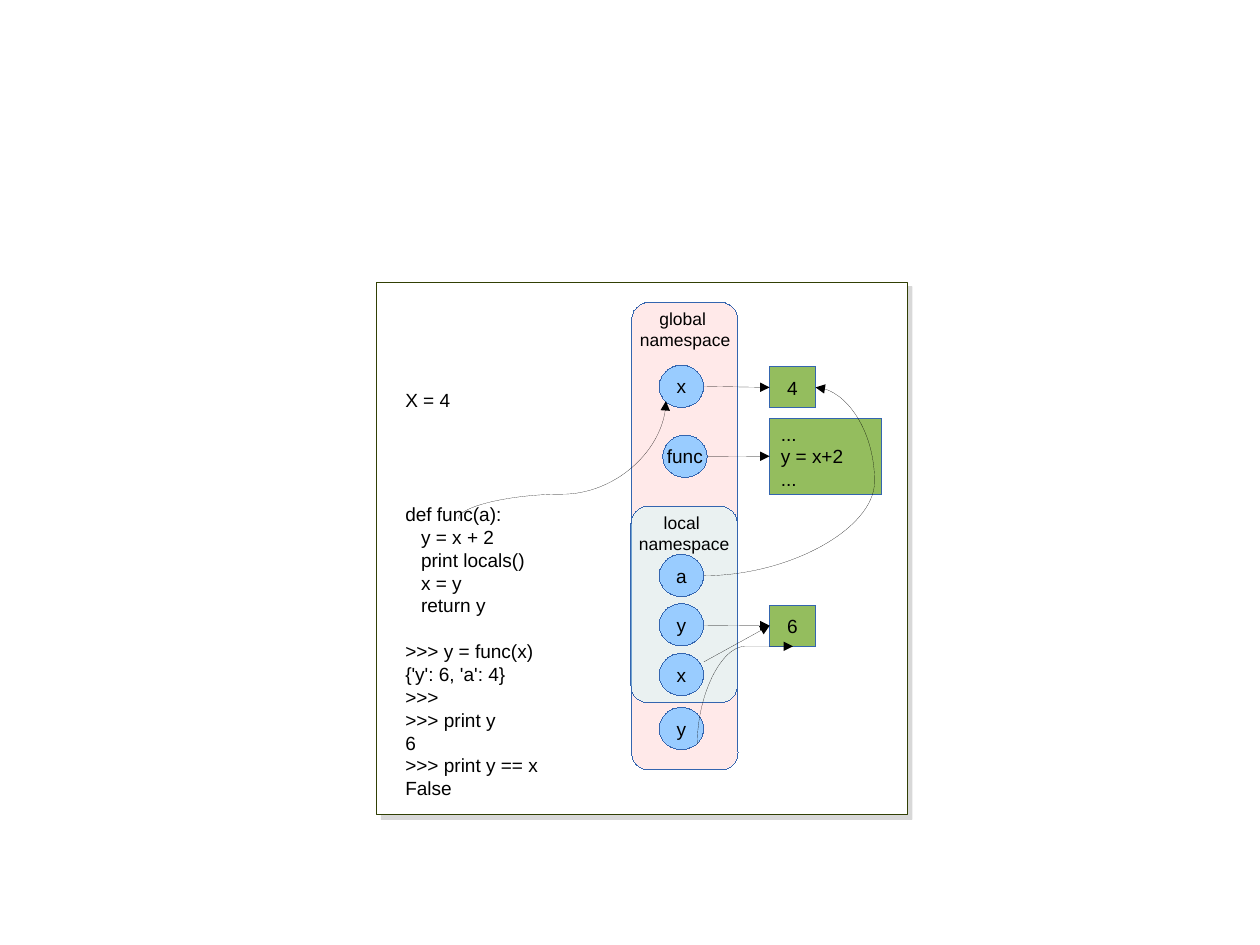
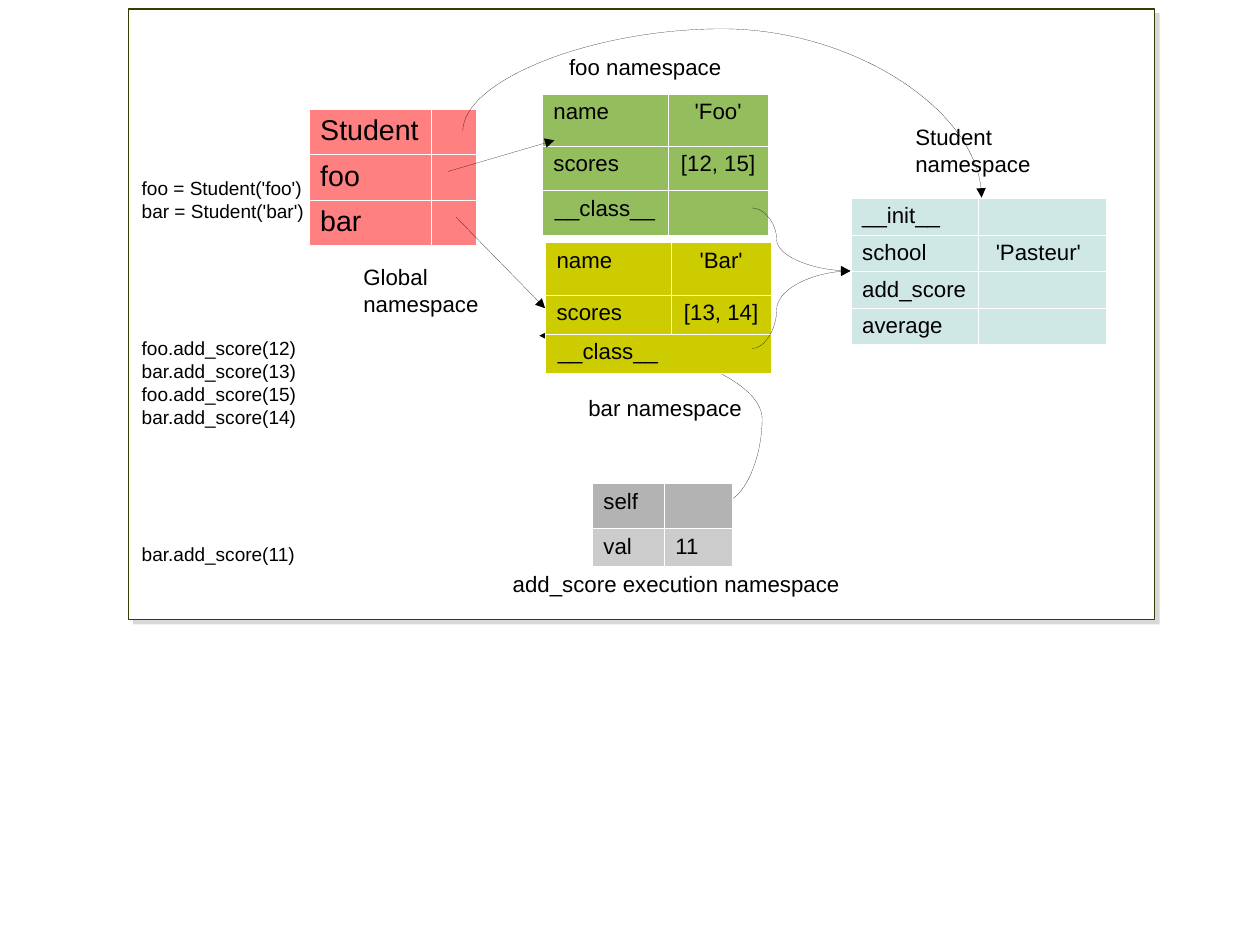
from lxml import etree
from pptx import Presentation
from pptx.dml.color import RGBColor
from pptx.enum.shapes import MSO_CONNECTOR, MSO_SHAPE
from pptx.enum.text import MSO_ANCHOR, PP_ALIGN
from pptx.oxml.ns import qn
from pptx.util import Pt

LEFT, CENTER = PP_ALIGN.LEFT, PP_ALIGN.CENTER
MIDDLE = MSO_ANCHOR.MIDDLE
RECT, OVAL, ROUNDED = MSO_SHAPE.RECTANGLE, MSO_SHAPE.OVAL, MSO_SHAPE.ROUNDED_RECTANGLE
STRAIGHT, CURVE = MSO_CONNECTOR.STRAIGHT, MSO_CONNECTOR.CURVE
LEFT_SIDE = 1


class Theme:
    font = "Arial"
    black = RGBColor.from_string("000000")
    white = RGBColor.from_string("FFFFFF")
    frame = RGBColor.from_string("314004")
    outline = RGBColor.from_string("3465AF")
    name = RGBColor.from_string("99CCFF")
    green = RGBColor.from_string("94BD5E")
    olive = RGBColor.from_string("CCCC00")
    red = RGBColor.from_string("FF8080")
    teal = RGBColor.from_string("CFE7E5")
    dark_gray = RGBColor.from_string("B3B3B3")
    light_gray = RGBColor.from_string("CCCCCC")
    global_space = RGBColor.from_string("FFC8C8")
    local_space = RGBColor.from_string("CCFFFF")
    small, code, label, large = 11, 12, 14, 18
    code_line = 14.4
    hairline = 0.01


def write(tf, lines, size, align=LEFT, gaps=()):
    """Fill a text frame; gaps maps a line index to the lines left free above."""
    for i, line in enumerate(lines):
        p = tf.paragraphs[0] if i == 0 else tf.add_paragraph()
        p.text = line
        p.alignment = align
        if i in gaps:
            p.space_before = Pt(gaps[i] * Theme.code_line)
        p.font.name = Theme.font
        p.font.size = Pt(size)
        p.font.color.rgb = Theme.black


def arrow(s, x1, y1, x2, y2, bend=None, vertical=False):
    """Straight arrow, or a curve when bend is given; vertical curves leave up or down."""
    rot = 0
    if vertical:
        # Lay the curve out sideways around its centre, then turn it
        cx, cy, half = (x1 + x2) / 2, (y1 + y2) / 2, abs(y2 - y1) / 2
        rise = (x2 - x1) / 2
        rot = 270
        if y2 < y1:
            rot, rise = 90, -rise
        x1, y1, x2, y2 = cx + half, cy - rise, cx - half, cy + rise
    kind = STRAIGHT if bend is None else CURVE
    c = s.shapes.add_connector(kind, Pt(x1), Pt(y1), Pt(x2), Pt(y2))
    c.line.color.rgb = Theme.black
    c.line.width = Pt(Theme.hairline)
    sp_pr = c.element.spPr
    if rot:
        sp_pr.find(qn("a:xfrm")).set("rot", str(rot * 60000))
    if bend is not None:
        guides = sp_pr.find(qn("a:prstGeom")).find(qn("a:avLst"))
        etree.SubElement(guides, qn("a:gd"), name="adj1", fmla=f"val {round(bend * 100000)}")
    etree.SubElement(sp_pr.find(qn("a:ln")), qn("a:tailEnd"), type="triangle")
    etree.SubElement(sp_pr, qn("a:effectLst"))
    return c


prs = Presentation()
prs.slide_width, prs.slide_height = Pt(793.7), Pt(595.28)

# Slides, each with a framed panel and a soft shadow
slides = []
for x, y, w, h in [(237.4, 177.8, 334.1, 335.5), (81.2, 5.7, 646, 384.5)]:
    s = prs.slides.add_slide(prs.slide_layouts[6])
    sp = s.shapes.add_shape(RECT, Pt(x), Pt(y), Pt(w), Pt(h))
    sp.fill.solid()
    sp.fill.fore_color.rgb = Theme.white
    sp.line.color.rgb = Theme.frame
    sp.line.width = Pt(0.71)
    sp.shadow.inherit = False
    shadow = etree.SubElement(sp.element.spPr.find(qn("a:effectLst")), qn("a:outerShdw"),
                              blurRad="0", dist=str(Pt(4.1)), dir=str(45 * 60000))
    color = etree.SubElement(shadow, qn("a:srgbClr"), val="808080")
    etree.SubElement(color, qn("a:alpha"), val="30000")
    slides.append(s)
scopes, classes = slides

# Scopes: namespaces, names and values, back to front
circle = (28.1, 26.6)
value = (28.8, 25.9)
items = [
    (ROUNDED, 397.9, 190.5, 67, 294.5, Theme.global_space, [], LEFT),
    (ROUNDED, 397.5, 318.8, 67, 123.8, Theme.local_space, [], LEFT),
    (OVAL, 415.2, 230.1, *circle, Theme.name, ["x"], CENTER),
    (OVAL, 417.4, 274.1, *circle, Theme.name, ["func"], CENTER),
    (OVAL, 415.2, 349.2, *circle, Theme.name, ["a"], CENTER),
    (OVAL, 415.2, 380.2, *circle, Theme.name, ["y"], CENTER),
    (OVAL, 415.2, 411.6, *circle, Theme.name, ["x"], CENTER),
    (OVAL, 415.2, 445.6, *circle, Theme.name, ["y"], CENTER),
    (RECT, 484.8, 231.1, *value, Theme.green, ["4"], CENTER),
    (RECT, 484.8, 263.4, 70.8, 48, Theme.green, ["...", "y = x+2", "..."], LEFT),
    (RECT, 484.8, 381.2, *value, Theme.green, ["6"], CENTER),
]
values = []
for kind, x, y, w, h, fill, lines, align in items:
    sp = scopes.shapes.add_shape(kind, Pt(x), Pt(y), Pt(w), Pt(h))
    sp.shadow.inherit = False
    sp.fill.solid()
    sp.fill.fore_color.rgb = fill
    sp.line.color.rgb = Theme.outline
    sp.line.width = Pt(Theme.hairline)
    if kind == ROUNDED:
        sp.adjustments[0] = 0.16
        color = sp.element.spPr.find(qn("a:solidFill"))[0]
        etree.SubElement(color, qn("a:alpha"), val="40000")
    else:
        tf = sp.text_frame
        tf.word_wrap = False
        tf.vertical_anchor = MIDDLE
        write(tf, lines, Theme.code, align)
    if kind == RECT:
        values.append(sp)
four, body, six = values

# Scopes: references from names to values
for x, y, target in [(443.5, 243.4, four), (445.7, 287.6, body),
                     (443.5, 393.8, six), (443.5, 416.9, six)]:
    c = arrow(scopes, x, y, 484.8, y)
    c.end_connect(target, LEFT_SIDE)
arrow(scopes, 288.7, 326.9, 419.5, 252.7, 0.21, vertical=True)
arrow(scopes, 439.2, 468.7, 499.5, 407.2, 1, vertical=True)
arrow(scopes, 443.5, 362.7, 513.7, 244.1, 1.53)

# Classes: reference from self, which runs behind the tables
arrow(classes, 455.8, 316.1, 339.8, 211.5, -0.21)

# Classes: namespace tables as (x, y, columns, rows, row fills, size, cells)
tables = [
    (341.4, 59.2, [79.3, 63.4], [32.8, 28, 28], [Theme.green] * 3, Theme.label,
     [["name", "'Foo'"], ["scores", "[12, 15]"], ["__class__", ""]]),
    (535.9, 124.7, [80.3, 80.3], [23.1] * 4, [Theme.teal] * 4, Theme.label,
     [["__init__", ""], ["school", " 'Pasteur'"], ["add_score", ""], ["average", ""]]),
    (372.9, 304.4, [45.4, 42.8], [28.5, 24], [Theme.dark_gray, Theme.light_gray], Theme.label,
     [["self", ""], ["val", "11"]]),
    (194.5, 68.7, [77, 28.5], [28.6] * 3, [Theme.red] * 3, Theme.large,
     [["Student", ""], ["foo", ""], ["bar", ""]]),
    (343.4, 152.6, [79.2, 63.4], [33, 24.6, 25], [Theme.olive] * 3, Theme.label,
     [["name", "'Bar'"], ["scores", "[13, 14]"], ["__class__", ""]]),
]
centered = ["'Foo'", "[12, 15]", "'Bar'", "[13, 14]", "__class__"]
for x, y, cols, rows, fills, size, cells in tables:
    table = classes.shapes.add_table(len(rows), len(cols), Pt(x), Pt(y),
                                     Pt(sum(cols)), Pt(sum(rows))).table
    table.first_row = table.horz_banding = False
    for i, w in enumerate(cols):
        table.columns[i].width = Pt(w)
    for r, h in enumerate(rows):
        table.rows[r].height = Pt(h)
        for i, text in enumerate(cells[r]):
            cell = table.cell(r, i)
            cell.fill.solid()
            cell.fill.fore_color.rgb = fills[r]
            write(cell.text_frame, [text], size, CENTER if text in centered else LEFT)
            if not text:
                cell.margin_top = cell.margin_bottom = 0
            # Thin white borders; the last olive row has no divider
            divider = "LR"[1 - i] if fills[r] == Theme.olive and r == 2 else ""
            tc_pr = cell._tc.get_or_add_tcPr()
            for n, side in enumerate("LRTB"):
                ln = etree.Element(qn("a:ln" + side), w=str(Pt(0.06)))
                if side == divider:
                    etree.SubElement(ln, qn("a:noFill"))
                else:
                    solid = etree.SubElement(ln, qn("a:solidFill"))
                    etree.SubElement(solid, qn("a:srgbClr"), val=str(Theme.white))
                tc_pr.insert(n, ln)

# Classes: references between the tables
arrow(classes, 282.2, 108, 349.2, 88.4)
arrow(classes, 287.3, 136.8, 343.4, 194.2)
arrow(classes, 291.5, 82.8, 618.3, 124.5, -1.55, vertical=True)
for y in (219.6, 131):
    arrow(classes, 473.8, y, 535.7, 170.7, 0.25)

# Code and labels
texts = [
    (scopes, 248.2, 241, 120, 266,
     ["X = 4", "def func(a):", "   y = x + 2", "   print locals()", "   x = y", "   return y",
      ">>> y = func(x)", "{'y': 6, 'a': 4}", ">>>", ">>> print y", "6",
      ">>> print y == x", "False"], Theme.code, LEFT, {1: 4, 6: 1}),
    (scopes, 391.6, 190.4, 80, 36, ["global ", "namespace"], Theme.small, CENTER, {}),
    (scopes, 391, 318.8, 80, 36, ["local ", "namespace"], Theme.small, CENTER, {}),
    (classes, 82.2, 107.6, 130, 252,
     ["foo = Student('foo')", "bar = Student('bar')", "foo.add_score(12)",
      "bar.add_score(13)", "foo.add_score(15)", "bar.add_score(14)",
      "bar.add_score(11)"], Theme.code, LEFT, {2: 5, 6: 5}),
    (classes, 221.8, 162.4, 95, 40, ["Global", "namespace"], Theme.label, LEFT, {}),
    (classes, 363.5, 244.8, 148, 28, ["bar namespace"], Theme.label, LEFT, {}),
    (classes, 351.4, 29.8, 136, 28, ["foo namespace"], Theme.label, LEFT, {}),
    (classes, 569.5, 74.2, 95, 40, ["Student", "namespace"], Theme.label, LEFT, {}),
    (classes, 315.9, 355.7, 240, 28, ["add_score execution namespace"],
     Theme.label, LEFT, {}),
]
for s, x, y, w, h, lines, size, align, gaps in texts:
    tf = s.shapes.add_textbox(Pt(x), Pt(y), Pt(w), Pt(h)).text_frame
    tf.word_wrap = True
    write(tf, lines, size, align, gaps)

prs.save("out.pptx")
